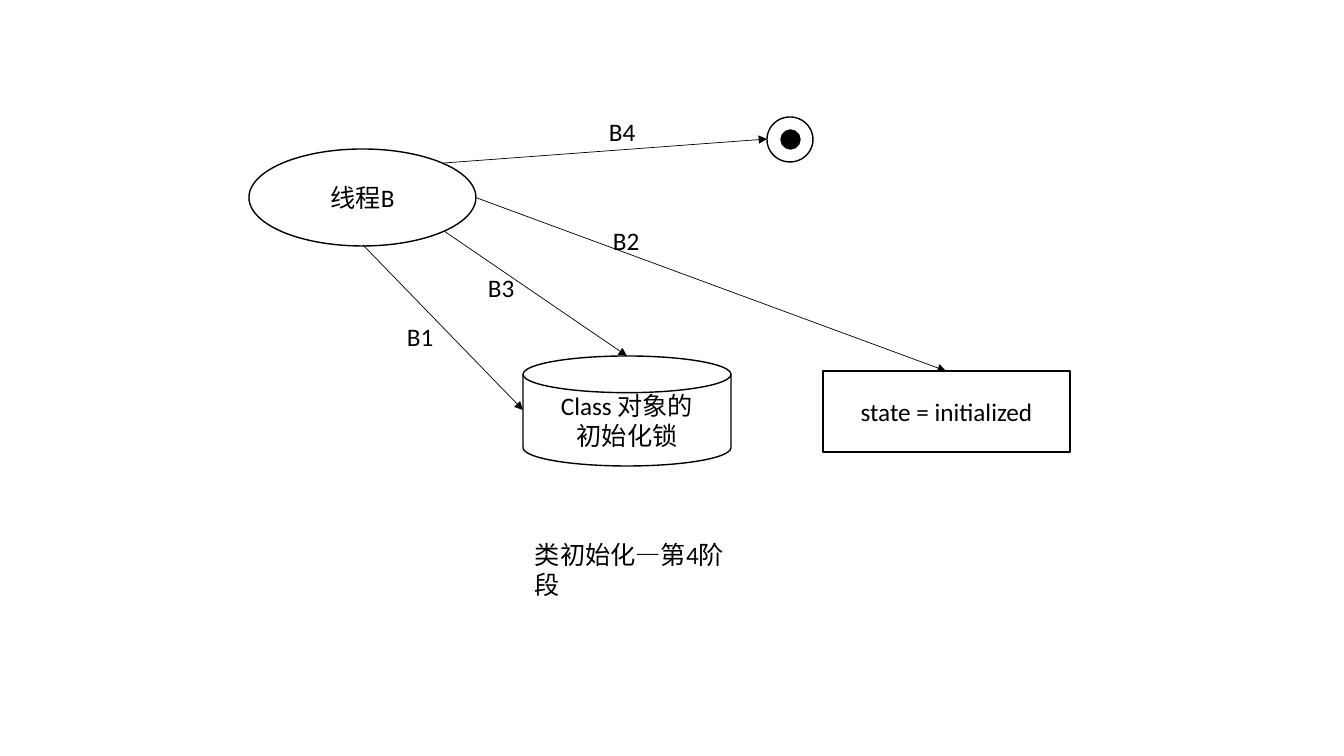
from lxml import etree
from pptx import Presentation
from pptx.dml.color import RGBColor
from pptx.enum.shapes import MSO_CONNECTOR, MSO_SHAPE
from pptx.enum.text import MSO_ANCHOR, MSO_AUTO_SIZE, PP_ALIGN
from pptx.oxml.ns import qn
from pptx.util import Emu, Pt

STRAIGHT = MSO_CONNECTOR.STRAIGHT
OVAL = MSO_SHAPE.OVAL
NODE = MSO_SHAPE.FLOWCHART_CONNECTOR
DISK = MSO_SHAPE.FLOWCHART_MAGNETIC_DISK
RECTANGLE = MSO_SHAPE.RECTANGLE
MIDDLE = MSO_ANCHOR.MIDDLE
GROW = MSO_AUTO_SIZE.SHAPE_TO_FIT_TEXT
CENTER = PP_ALIGN.CENTER
LEFT = PP_ALIGN.LEFT

BLACK = RGBColor(0x00, 0x00, 0x00)
WHITE = RGBColor(0xFF, 0xFF, 0xFF)
FONT = "Calibri"
FONT_SIZE = Pt(18)
LABEL_SIZE = (47, 40)
PIXELS_PER_INCH = 100.8


def px(*lengths):
    """Turn pixel lengths into EMU."""
    return [Emu(round(length * 914400 / PIXELS_PER_INCH)) for length in lengths]


def write_text(text_frame, text, alignment):
    """Fill a text frame and format its runs."""
    text_frame.text = text
    for paragraph in text_frame.paragraphs:
        paragraph.alignment = alignment
        for run in paragraph.runs:
            run.font.name = FONT
            run.font.size = FONT_SIZE
            run.font.color.rgb = BLACK


def add_node(slide, kind, box, text="", fill=WHITE):
    """Add an outlined shape with optional centred text."""
    shape = slide.shapes.add_shape(kind, *px(*box))
    shape.shadow.inherit = False
    shape.fill.solid()
    shape.fill.fore_color.rgb = fill
    shape.line.color.rgb = BLACK
    shape.line.width = Pt(1)
    if text:
        shape.text_frame.vertical_anchor = MIDDLE
        write_text(shape.text_frame, text, CENTER)


def add_arrow(slide, start, end):
    """Add a thin line with a triangular head at its end."""
    connector = slide.shapes.add_connector(STRAIGHT, *px(*start, *end))
    connector.line.color.rgb = BLACK
    connector.line.width = Pt(0.5)
    line = connector.line._get_or_add_ln()
    etree.SubElement(line, qn("a:tailEnd"), type="triangle")
    etree.SubElement(connector._element.spPr, qn("a:effectLst"))


def add_label(slide, text, position, size=LABEL_SIZE, wrap=False):
    """Add a plain text box that grows with its text."""
    text_box = slide.shapes.add_textbox(*px(*position, *size))
    text_box.text_frame.word_wrap = wrap
    text_box.text_frame.auto_size = GROW
    write_text(text_box.text_frame, text, LEFT)


def main():
    """Build the class initialization slide."""
    presentation = Presentation()
    presentation.slide_width, presentation.slide_height = px(1344, 756)
    slide = presentation.slides.add_slide(presentation.slide_layouts[6])

    add_node(slide, NODE, (767, 117, 46, 45))
    add_node(slide, NODE, (781, 130, 19, 19), fill=BLACK)
    add_node(slide, OVAL, (249, 149, 227, 97), "线程B")
    add_node(slide, DISK, (523, 356, 208, 110), "Class 对象的\n初始化锁")
    add_node(slide, RECTANGLE, (823, 371, 247, 81), "state = initialized")

    steps = [
        ("B1", (397, 316), (363, 245), (523, 410)),
        ("B2", (603, 220), (477, 198), (946, 371)),
        ("B3", (478, 267), (444, 231), (627, 356)),
        ("B4", (599, 111), (444, 163), (767, 139)),
    ]
    for name, position, start, end in steps:
        add_arrow(slide, start, end)
        add_label(slide, name, position)

    add_label(slide, "类初始化—第4阶段", (525, 534), (234, 40), wrap=True)
    presentation.save("out.pptx")


main()
